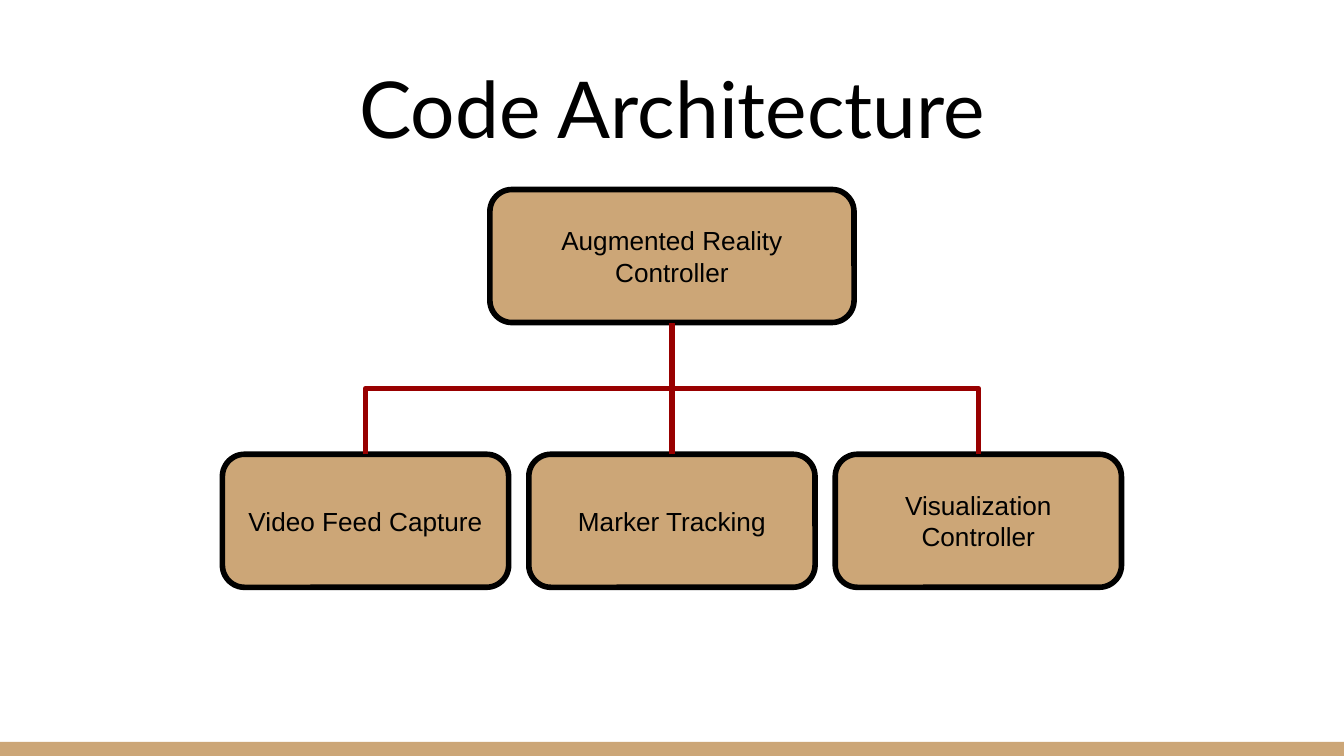
from dataclasses import dataclass

from lxml.etree import SubElement
from pptx import Presentation
from pptx.dml.color import RGBColor
from pptx.enum.shapes import MSO_CONNECTOR, MSO_SHAPE
from pptx.enum.text import MSO_ANCHOR, MSO_AUTO_SIZE, PP_ALIGN
from pptx.oxml.ns import qn
from pptx.util import Inches, Pt


@dataclass(frozen=True)
class Theme:
    tan: RGBColor = RGBColor(0xCC, 0xA6, 0x77)
    black: RGBColor = RGBColor(0, 0, 0)
    red: RGBColor = RGBColor(0x98, 0, 0)
    title_font: str = "Lato"
    body_font: str = "Arial"
    title_size: int = 42
    body_size: int = 14
    stroke: int = 3


THEME = Theme()
SLIDE_WIDTH = 10
SLIDE_HEIGHT = SLIDE_WIDTH * 9 / 16
CENTER = SLIDE_WIDTH / 2
ROOT_TOP, CHILD_TOP = 1.41, 3.38
ROOT_WIDTH, CHILD_WIDTH, BOX_HEIGHT = 2.71, 2.13, 0.99
CHILD_PITCH = 2.28
CHILDREN = ["Video Feed Capture", "Marker Tracking", "Visualization Controller"]


def set_text(sp, text, *, font=THEME.body_font, size=THEME.body_size,
             color=THEME.black, anchor=MSO_ANCHOR.MIDDLE):
    tf = sp.text_frame
    tf.word_wrap = True
    tf.auto_size = MSO_AUTO_SIZE.NONE
    tf.vertical_anchor = anchor
    tf.margin_left = tf.margin_right = Inches(0.1)
    tf.margin_top = tf.margin_bottom = Inches(0.1)
    p = tf.paragraphs[0]
    p.alignment = PP_ALIGN.CENTER
    r = p.add_run()
    r.text = text
    r.font.name = font
    r.font.size = Pt(size)
    r.font.color.rgb = color


def add_title(s, text):
    sp = s.shapes.title
    sp.left, sp.top = Inches(0.34), Inches(0.34)
    sp.width, sp.height = Inches(9.32), Inches(0.91)
    set_text(sp, text, font=THEME.title_font, size=THEME.title_size,
             anchor=MSO_ANCHOR.BOTTOM)


def add_filled(s, kind, left, top, width, height):
    sp = s.shapes.add_shape(kind, Inches(left), Inches(top),
                            Inches(width), Inches(height))
    sp.shadow.inherit = False
    sp.fill.solid()
    sp.fill.fore_color.rgb = THEME.tan
    sp.line.fill.background()
    return sp


def add_box(s, text, center, top, width):
    sp = add_filled(s, MSO_SHAPE.ROUNDED_RECTANGLE, center - width / 2, top,
                    width, BOX_HEIGHT)
    sp.line.color.rgb = THEME.black
    sp.line.width = Pt(THEME.stroke)
    set_text(sp, text)
    return sp


def add_line(s, kind, x1, y1, x2, y2):
    c = s.shapes.add_connector(kind, Inches(x1), Inches(y1),
                               Inches(x2), Inches(y2))
    c.line.color.rgb = THEME.red
    c.line.width = Pt(THEME.stroke)
    SubElement(c._element.spPr, qn("a:effectLst"))
    return c


def add_branch(s, side):
    root_bottom = ROOT_TOP + BOX_HEIGHT
    x = CENTER + side * CHILD_PITCH / 2
    y = (root_bottom + CHILD_TOP) / 2
    dx = side * (CHILD_TOP - root_bottom) / 2
    dy = CHILD_PITCH / 2
    c = add_line(s, MSO_CONNECTOR.ELBOW, x + dx, y - dy, x - dx, y + dy)
    degrees = 90 * side % 360
    c._element.spPr.find(qn("a:xfrm")).set("rot", str(degrees * 60000))


def main():
    prs = Presentation()
    prs.slide_width, prs.slide_height = Inches(SLIDE_WIDTH), Inches(SLIDE_HEIGHT)
    s = prs.slides.add_slide(prs.slide_layouts[5])
    add_filled(s, MSO_SHAPE.RECTANGLE, 0, 5.52, SLIDE_WIDTH, 0.11)
    add_title(s, "Code Architecture")
    add_box(s, "Augmented Reality Controller", CENTER, ROOT_TOP, ROOT_WIDTH)
    boxes = [add_box(s, text, CENTER + i * CHILD_PITCH, CHILD_TOP, CHILD_WIDTH)
             for i, text in enumerate(CHILDREN, start=-1)]
    for side in (-1, 1):
        add_branch(s, side)
    stem = add_line(s, MSO_CONNECTOR.STRAIGHT, CENTER, CHILD_TOP, CENTER, 2.8)
    stem.begin_connect(boxes[1], 0)
    prs.save("out.pptx")


if __name__ == "__main__":
    main()
